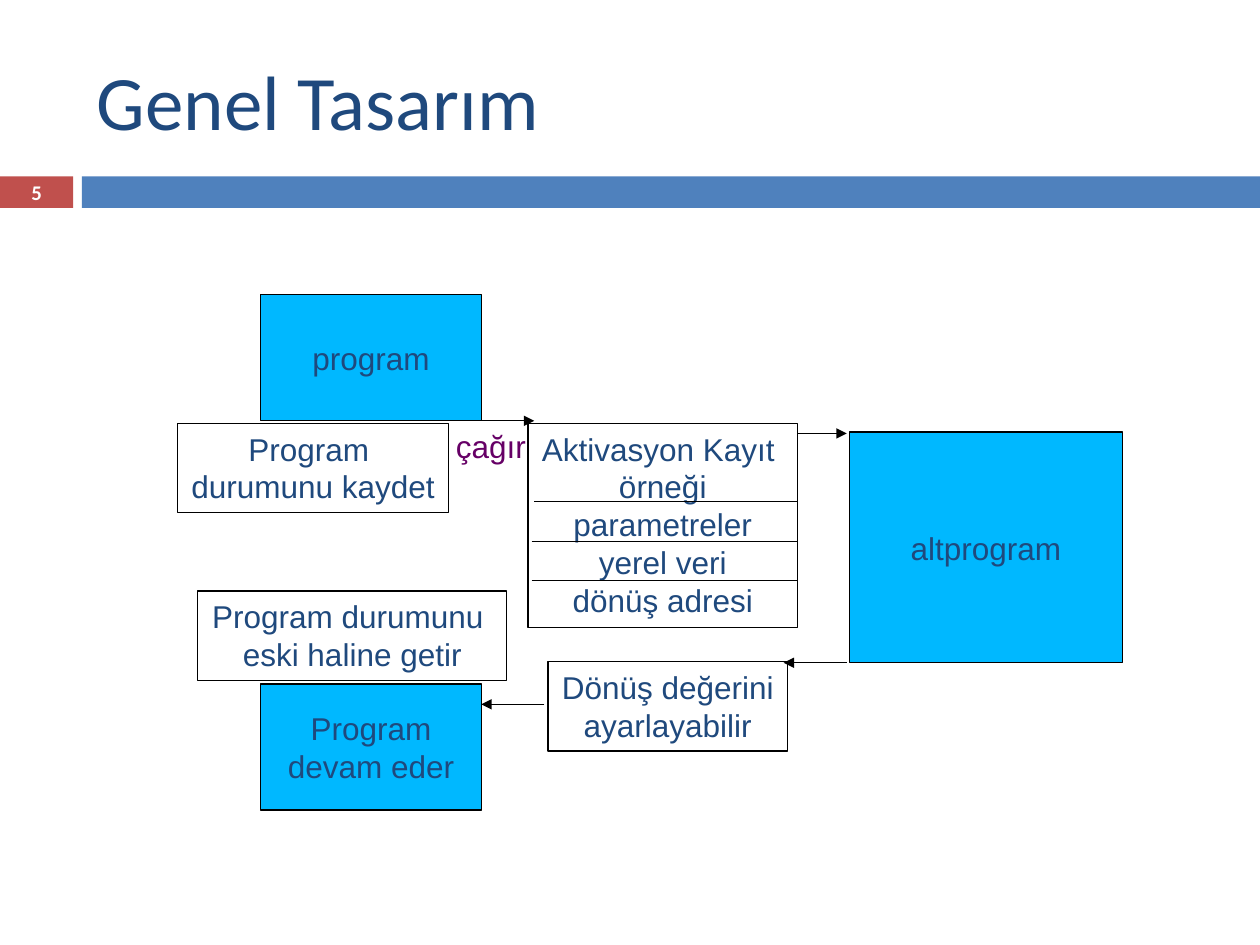
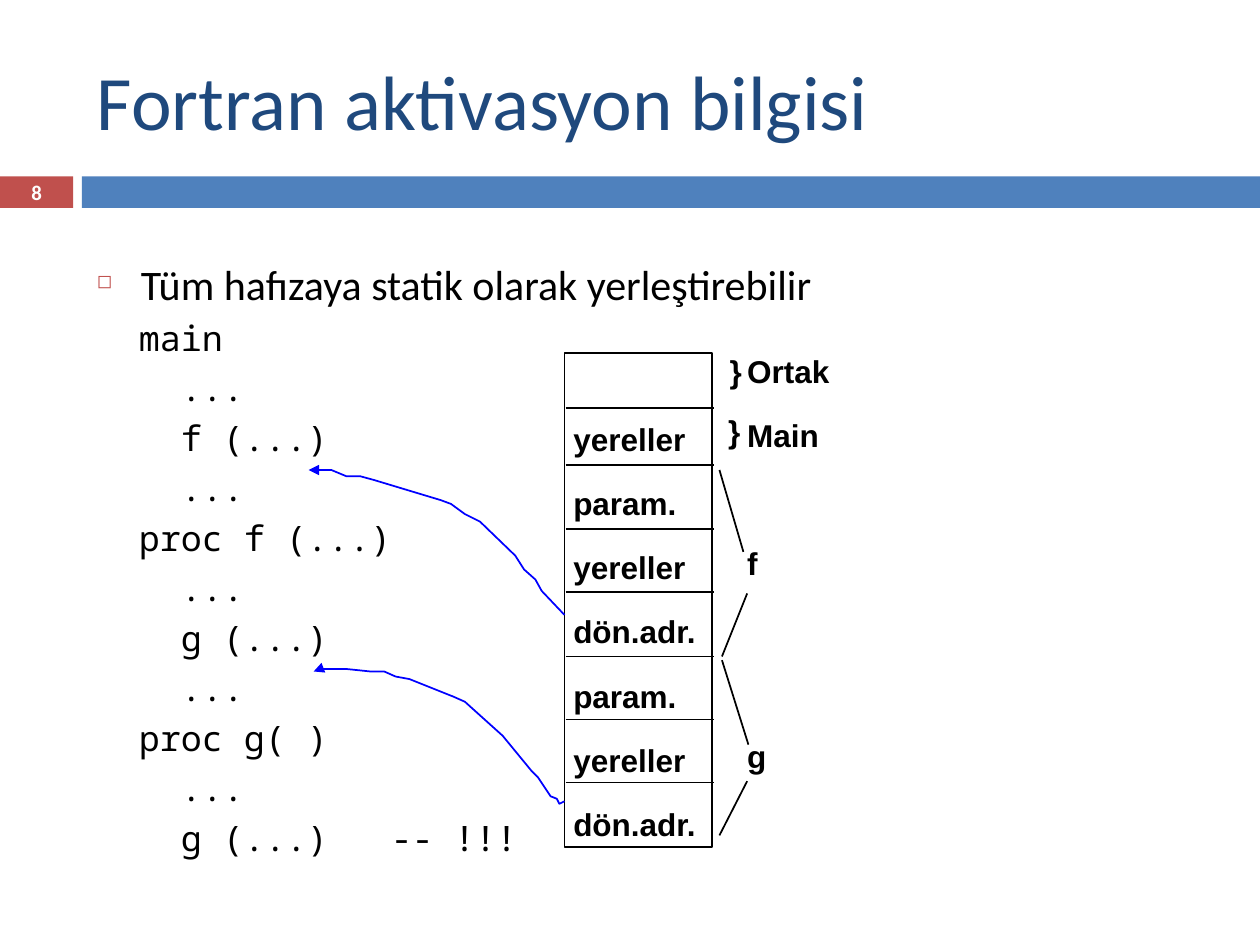
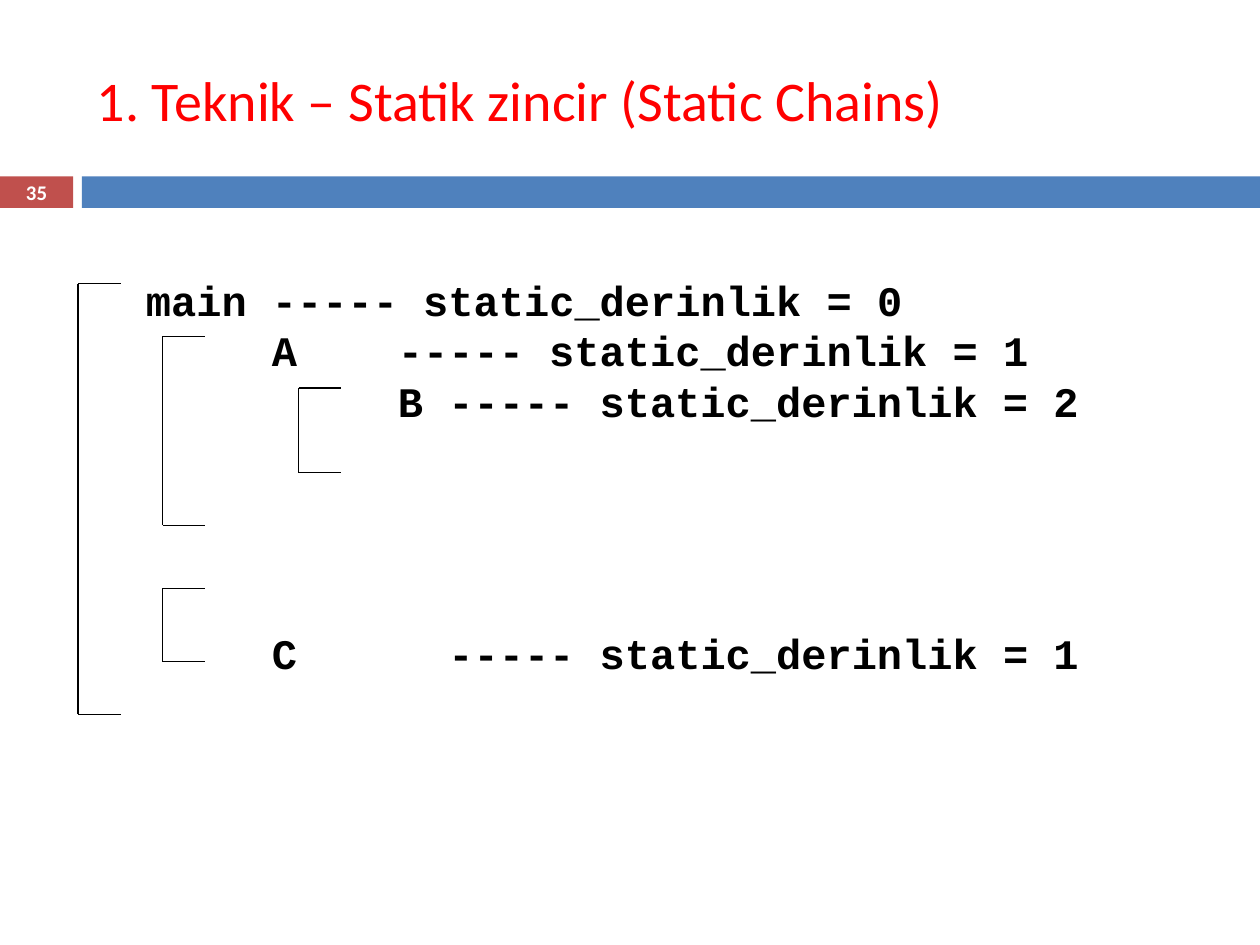
from lxml.etree import SubElement
from pptx import Presentation
from pptx.dml.color import RGBColor
from pptx.enum.shapes import MSO_CONNECTOR, MSO_SHAPE
from pptx.enum.text import MSO_ANCHOR, PP_ALIGN
from pptx.oxml.ns import qn
from pptx.util import Inches, Pt

NAVY, BLUE, BRICK = "1F497D", "4F81BD", "C0504D"
CYAN, PURPLE, LINK = "00B8FF", "660066", "0000FF"
BLACK, WHITE, RED = "000000", "FFFFFF", "FF0000"

TITLE = {"name": "Calibri", "size": Pt(44), "color": NAVY}
PAGE = {"name": "Calibri", "size": Pt(11.9), "color": WHITE, "bold": True}
DIAGRAM = {"name": "Arial", "size": Pt(18), "color": NAVY}
LABEL = {"name": "Arial", "size": Pt(18), "color": BLACK, "bold": True}
BODY = {"name": "Calibri", "size": Pt(24), "color": BLACK}
CODE = {"name": "Noto Sans Mono", "size": Pt(20), "color": BLACK}
DEPTH = {"name": "Courier New", "size": Pt(24), "color": BLACK, "bold": True}

ROW = 0.51
TIGHT = (0.07, 0.04, 0.07, 0.03)


def rgb(color):
    return RGBColor.from_string(color)


def inches(values):
    return [Inches(v) for v in values]


def style_run(r, fmt):
    for key, value in fmt.items():
        if key == "color":
            r.font.color.rgb = rgb(value)
        else:
            setattr(r.font, key, value)


def write(sp, lines, fmt, para=None, gap=None, inset=(0.1, 0.05, 0.1, 0.05),
          anchor=MSO_ANCHOR.TOP, wrap=True):
    tf = sp.text_frame
    frame = dict(zip(("margin_left", "margin_top", "margin_right", "margin_bottom"),
                     inches(inset)))
    frame.update(vertical_anchor=anchor, word_wrap=wrap)
    for key, value in frame.items():
        setattr(tf, key, value)
    for i, line in enumerate(lines):
        p = tf.paragraphs[0] if i == 0 else tf.add_paragraph()
        r = p.add_run()
        r.text = line
        style_run(r, fmt)
        for key, value in (para or {"alignment": PP_ALIGN.LEFT}).items():
            setattr(p, key, value)
        if i and gap:
            p.space_before = gap
    return tf


def add_text(s, box, lines, fmt, **options):
    return write(s.shapes.add_textbox(*inches(box)), lines, fmt, **options)


def add_rect(s, box, fill=None, line=None, width=0.75):
    sp = s.shapes.add_shape(MSO_SHAPE.RECTANGLE, *inches(box))
    sp.shadow.inherit = False
    if fill:
        sp.fill.solid()
        sp.fill.fore_color.rgb = rgb(fill)
    else:
        sp.fill.background()
    if line:
        stroke(sp, line, width)
    else:
        sp.line.fill.background()
    return sp


def stroke(sp, color, width, arrow=False):
    sp.line.color.rgb = rgb(color)
    sp.line.width = Pt(width)
    if arrow:
        SubElement(sp.line._get_or_add_ln(), qn("a:tailEnd"), type="triangle")


def add_line(s, x1, y1, x2, y2, width=1, arrow=False):
    cn = s.shapes.add_connector(MSO_CONNECTOR.STRAIGHT, *inches((x1, y1, x2, y2)))
    stroke(cn, BLACK, width, arrow)
    SubElement(cn._element.spPr, qn("a:effectLst"))


def add_curve(s, points):
    points = [tuple(inches(point)) for point in points]
    fb = s.shapes.build_freeform(*points[0], scale=1.0)
    fb.add_line_segments(points[1:], close=False)
    sp = fb.convert_to_shape()
    sp.shadow.inherit = False
    sp.fill.background()
    stroke(sp, LINK, 1, arrow=True)


def add_base(prs, title, number, **title_format):
    s = prs.slides.add_slide(prs.slide_layouts[6])
    add_rect(s, (0, 1.4, 0.58, 0.25), BRICK)
    add_rect(s, (0.65, 1.4, 9.35, 0.25), BLUE)
    add_text(s, (0.67, 0.25, 8.92, 1.08), [title], {**TITLE, **title_format},
             anchor=MSO_ANCHOR.MIDDLE)
    add_text(s, (0, 1.39, 0.58, 0.27), [str(number)], PAGE,
             para={"alignment": PP_ALIGN.CENTER}, anchor=MSO_ANCHOR.MIDDLE)
    return s


def add_call_flow(s, x, y):
    steps = [
        ((0.66, 0, 1.75, 1), CYAN, ["program"]),
        ((5.33, 1.09, 2.17, 1.83), CYAN, ["altprogram"]),
        ((0.66, 3.09, 1.75, 1), CYAN, ["Program", "devam eder"]),
        ((0, 1.02, 2.15, 0.71), None, ["Program ", "durumunu kaydet"]),
        ((0.16, 2.35, 2.45, 0.71), None, ["Program durumunu ", "eski haline getir"]),
        ((2.94, 2.91, 1.9, 0.71), None, ["Dönüş değerini", "ayarlayabilir"]),
        ((2.78, 1.02, 2.14, 1.62), None,
         ["Aktivasyon Kayıt ", "örneği", "parametreler", "yerel veri", "dönüş adresi"]),
    ]
    for (left, top, width, height), fill, lines in steps:
        sp = add_rect(s, (x + left, y + top, width, height), fill, BLACK)
        write(sp, lines, DIAGRAM, para={"alignment": PP_ALIGN.CENTER}, wrap=False,
              anchor=MSO_ANCHOR.MIDDLE if fill else MSO_ANCHOR.TOP)
    add_text(s, (x + 2.11, y + 1, 0.76, 0.4), ["çağır"], {**DIAGRAM, "color": PURPLE},
             wrap=False)
    for start, end, top in [(2.41, 2.83, 1), (4.92, 5.31, 1.1),
                            (5.31, 4.81, 2.92), (2.91, 2.41, 3.25)]:
        add_line(s, x + start, y + top, x + end, y + top, 0.75, arrow=True)
    for start, top in [(2.83, 1.64), (2.81, 1.96), (2.81, 2.27)]:
        add_line(s, x + start, y + top, x + 4.92, y + top, 0.75)


def add_code_list(s, box):
    lines = ["Tüm hafızaya statik olarak yerleştirebilir",
             "  main", "    ...", "    f (...)", "    ...",
             "  proc f (...)", "    ...", "    g (...)", "    ...",
             "  proc g( )", "    ...", "    g (...)   -- !!!"]
    tf = add_text(s, box, lines, CODE, para={"line_spacing": 0.9}, gap=Pt(7))
    p = tf.paragraphs[0]
    style_run(p.runs[0], BODY)
    p.line_spacing = 1.0
    pPr = p._p.get_or_add_pPr()
    pPr.set("marL", str(Inches(0.35)))
    pPr.set("indent", str(Inches(-0.35)))
    SubElement(SubElement(pPr, qn("a:buClr")), qn("a:srgbClr"), val=BRICK)
    SubElement(pPr, qn("a:buSzPct"), val="45000")
    SubElement(pPr, qn("a:buChar"), char="◻")


def add_stack(s, x, y):
    cells = ["yereller", "param.", "yereller", "dön.adr.", "param.", "yereller", "dön.adr."]
    sp = add_rect(s, (x, y, 1.17, 3.92), None, BLACK, 1)
    spacing = {"alignment": PP_ALIGN.LEFT, "line_spacing": Pt(18)}
    write(sp, cells, LABEL, para=spacing, gap=Pt(18.7), inset=(0.07, 0.07 + ROW, 0.07, 0.03))
    for top in [0.44, 0.89, 1.4, 1.9, 2.41, 2.91, 3.41]:
        add_line(s, x + 0.01, y + top, x + 1.19, y + top)
    labels = [(1.38, ROW * row, text)
              for row, text in [(0, "Ortak"), (1, "Main"), (3, "f"), (6, "g")]]
    for left, top, text in labels + [(1.24, 0, "}"), (1.23, 0.48, "}")]:
        add_text(s, (x + left, y + top, 0.9, 0.4), [text], LABEL, para=spacing, inset=TIGHT)
    for x1, y1, x2, y2 in [(1.23, 0.93, 1.42, 1.58), (1.25, 2.41, 1.45, 1.91),
                           (1.25, 2.44, 1.46, 3.11), (1.23, 3.83, 1.45, 3.4)]:
        add_line(s, x + x1, y + y1, x + x2, y + y2)


def add_return_links(s):
    add_curve(s, [(4.48, 4.88), (4.3, 4.69), (4.25, 4.6), (4.16, 4.52), (4.09, 4.41),
                  (3.81, 4.14), (3.69, 4.08), (3.58, 4), (3.5, 3.97), (2.97, 3.81),
                  (2.86, 3.78), (2.75, 3.78), (2.63, 3.73), (2.45, 3.73)])
    add_curve(s, [(4.48, 6.36), (4.44, 6.38), (4.42, 6.34), (4.37, 6.32), (4.27, 6.17),
                  (4.22, 6.12), (3.99, 5.84), (3.69, 5.57), (3.6, 5.53), (3.55, 5.51),
                  (3.25, 5.39), (3.14, 5.37), (3.05, 5.33), (2.94, 5.33), (2.75, 5.31),
                  (2.48, 5.31), (2.49, 5.33)])


def add_depth_list(s, box):
    scopes = [(0, "main ----- static_derinlik = 0"),
              (1, "A    ----- static_derinlik = 1"),
              (2, "B ----- static_derinlik = 2"),
              (1, "C      ----- static_derinlik = 1")]
    pitch = 28.8
    tf = add_text(s, box, [text for _, text in scopes], DEPTH,
                  para={"line_spacing": Pt(pitch)})
    for p, (level, _) in zip(tf.paragraphs, scopes):
        p._p.get_or_add_pPr().set("marL", str(Inches(level)))
    tf.paragraphs[-1].space_before = Pt(4 * pitch)


def add_bracket(s, x, top, bottom, arm=0.34):
    add_line(s, x, top, x, bottom)
    for y in (top, bottom):
        add_line(s, x, y, x + arm, y)


def main():
    prs = Presentation()
    prs.slide_width, prs.slide_height = inches((10, 7.5))

    s = add_base(prs, "Genel Tasarım", 5)
    add_call_flow(s, 1.41, 2.34)

    s = add_base(prs, "Fortran aktivasyon bilgisi", 8)
    add_code_list(s, (0.67, 2, 9.33, 5.08))
    add_stack(s, 4.48, 2.8)
    add_return_links(s)

    s = add_base(prs, "1. Teknik – Statik zincir (Static Chains)", 35,
                 size=Pt(32), color=RED)
    add_depth_list(s, (1.06, 2.13, 7.85, 4.7))
    for x, top, bottom in [(0.62, 2.25, 5.67), (1.29, 2.67, 4.17),
                           (2.37, 3.08, 3.75), (1.29, 4.67, 5.25)]:
        add_bracket(s, x, top, bottom)

    prs.save("out.pptx")


if __name__ == "__main__":
    main()
